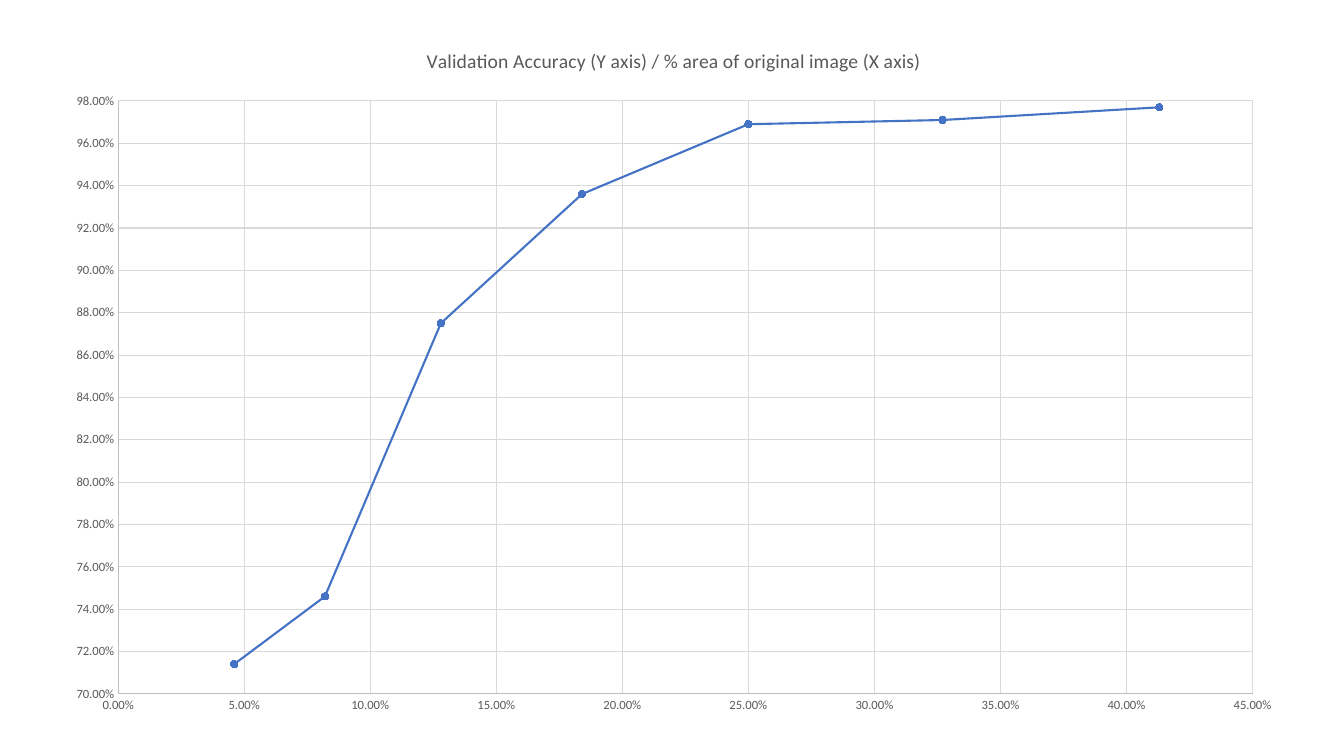
from dataclasses import dataclass

from pptx import Presentation
from pptx.chart.data import XyChartData
from pptx.dml.color import RGBColor
from pptx.enum.chart import XL_CHART_TYPE, XL_MARKER_STYLE, XL_TICK_MARK
from pptx.util import Cm, Pt

SMOOTH_SCATTER = XL_CHART_TYPE.XY_SCATTER_SMOOTH
CIRCLE = XL_MARKER_STYLE.CIRCLE
NO_TICK = XL_TICK_MARK.NONE

TITLE = "Validation Accuracy (Y axis) / % area of original image (X axis)"
AREA_AND_ACCURACY = [
    (0.413, 0.977),
    (0.327, 0.971),
    (0.25, 0.969),
    (0.184, 0.936),
    (0.128, 0.875),
    (0.082, 0.746),
    (0.046, 0.714),
]


@dataclass(frozen=True)
class Theme:
    """Colours, font and type sizes of the slide."""

    font: str = "Calibri"
    text: RGBColor = RGBColor(0x59, 0x59, 0x59)
    axis: RGBColor = RGBColor(0xBF, 0xBF, 0xBF)
    grid: RGBColor = RGBColor(0xD9, 0xD9, 0xD9)
    curve: RGBColor = RGBColor(0x44, 0x72, 0xC4)
    title_size: Pt = Pt(14)
    label_size: Pt = Pt(9)
    thin: Pt = Pt(0.75)
    curve_width: Pt = Pt(1.5)


THEME = Theme()


def style_font(font, size):
    """Apply the theme font at the given size."""
    font.name = THEME.font
    font.size = size
    font.bold = False
    font.color.rgb = THEME.text


def style_line(line, color, width):
    """Give a line its colour and width."""
    line.color.rgb = color
    line.width = width


def style_axis(axis, minimum, maximum, step):
    """Scale a percentage axis and style its labels, line and grid."""
    axis.minimum_scale = minimum
    axis.maximum_scale = maximum
    axis.major_unit = step
    axis.major_tick_mark = NO_TICK
    axis.minor_tick_mark = NO_TICK
    axis.has_major_gridlines = True
    axis.tick_labels.number_format = "0.00%"
    axis.tick_labels.number_format_is_linked = False
    style_font(axis.tick_labels.font, THEME.label_size)
    style_line(axis.format.line, THEME.axis, THEME.thin)
    style_line(axis.major_gridlines.format.line, THEME.grid, THEME.thin)


def style_curve(series):
    """Draw the series as a smooth line with round markers."""
    series.smooth = True
    style_line(series.format.line, THEME.curve, THEME.curve_width)
    marker = series.marker
    marker.style = CIRCLE
    marker.size = 5
    marker.format.fill.solid()
    marker.format.fill.fore_color.rgb = THEME.curve
    style_line(marker.format.line, THEME.curve, THEME.thin)


def add_accuracy_chart(slide, left, top, width, height):
    """Place the accuracy scatter chart in the given box."""
    data = XyChartData(number_format="0.00%")
    points = data.add_series("Series 1")
    for area, accuracy in AREA_AND_ACCURACY:
        points.add_data_point(area, accuracy)
    frame = slide.shapes.add_chart(SMOOTH_SCATTER, left, top, width, height, data)
    chart = frame.chart
    style_font(chart.font, THEME.label_size)
    chart.has_legend = False
    chart.has_title = True
    chart.chart_title.include_in_layout = False
    paragraph = chart.chart_title.text_frame.paragraphs[0]
    paragraph.text = TITLE
    style_font(paragraph.font, THEME.title_size)
    style_axis(chart.category_axis, 0, 0.45, 0.05)
    style_axis(chart.value_axis, 0.7, 0.98, 0.02)
    chart.plots[0].vary_by_categories = False
    style_curve(chart.plots[0].series[0])


def main():
    """Build the presentation and save it."""
    presentation = Presentation()
    presentation.slide_width = Cm(33.87)
    presentation.slide_height = Cm(19.05)
    slide = presentation.slides.add_slide(presentation.slide_layouts[6])
    add_accuracy_chart(slide, Cm(1.3), Cm(0.61), Cm(31.37), Cm(17.7))
    presentation.save("out.pptx")


if __name__ == "__main__":
    main()
